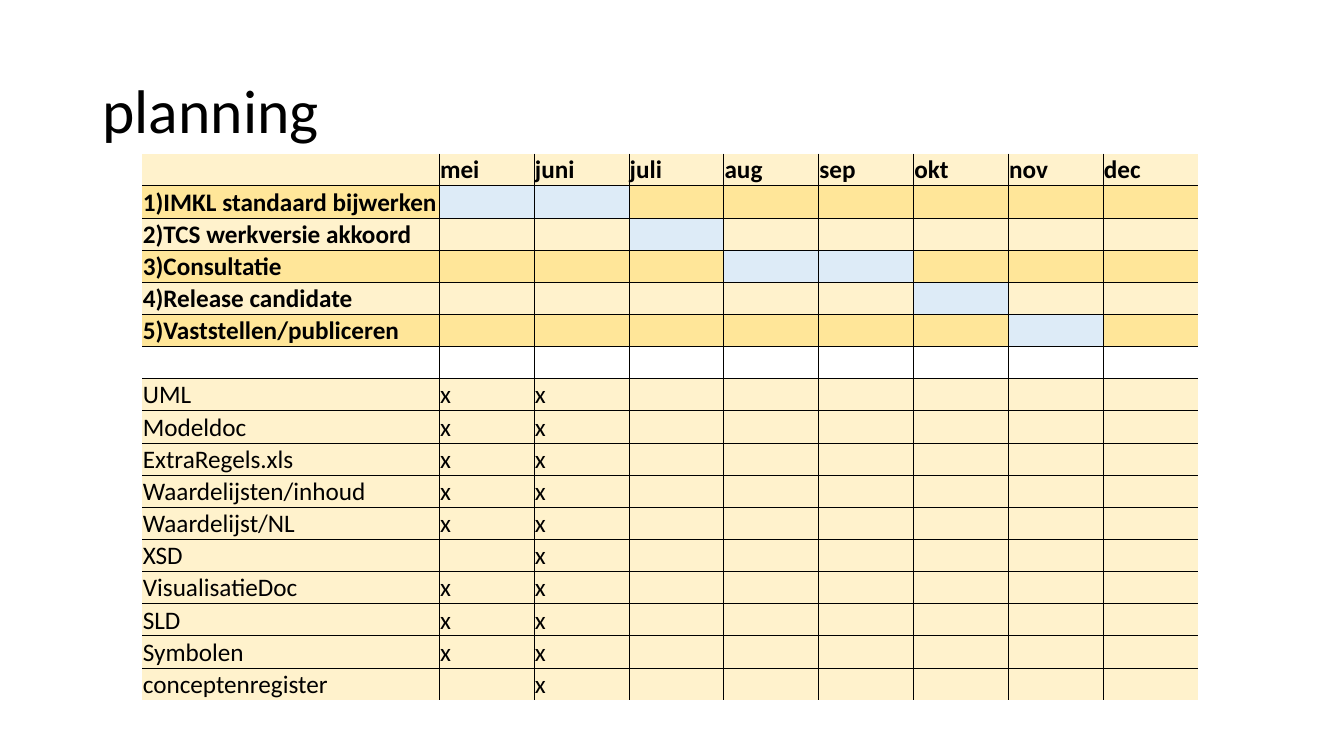
from dataclasses import dataclass

from pptx import Presentation
from pptx import util as u
from pptx.dml.color import RGBColor
from pptx.enum import text
from pptx.oxml import ns
from pptx.oxml.xmlchemy import OxmlElement
from pptx.slide import Slide
from pptx.table import Table, _Cell
from pptx.text.text import Font

FONT = "Calibri"
BLACK, CREAM, GOLD, BLUE = "000000", "FFF2CC", "FFE699", "DDEBF7"
MONTHS = ["mei", "juni", "juli", "aug", "sep", "okt ", "nov", "dec"]
LABEL_WIDTH, MONTH_WIDTH, ROW_HEIGHT = u.Cm(7.49), u.Cm(2.39), u.Cm(0.81)


@dataclass(frozen=True)
class PlanRow:
    label: str = ""
    fill: str | None = CREAM
    bold: bool = False
    planned: tuple[str, ...] = ()  # months coloured blue
    marked: tuple[str, ...] = ()  # months with an x

    def texts(self) -> list[str]:
        return [self.label] + ["x" if month in self.marked else "" for month in MONTHS]

    def fills(self) -> list[str | None]:
        return [self.fill] + [BLUE if month in self.planned else self.fill for month in MONTHS]


SPRING = ("mei", "juni")
PHASES = [
    PlanRow("1)IMKL standaard bijwerken", GOLD, True, planned=SPRING),
    PlanRow("2)TCS werkversie akkoord", CREAM, True, planned=("juli",)),
    PlanRow("3)Consultatie", GOLD, True, planned=("aug", "sep")),
    PlanRow("4)Release candidate", CREAM, True, planned=("okt ",)),
    PlanRow("5)Vaststellen/publiceren", GOLD, True, planned=("nov",)),
]
PRODUCTS = [
    PlanRow("UML", marked=SPRING),
    PlanRow("Modeldoc", marked=SPRING),
    PlanRow("ExtraRegels.xls", marked=SPRING),
    PlanRow("Waardelijsten/inhoud", marked=SPRING),
    PlanRow("Waardelijst/NL", marked=SPRING),
    PlanRow("XSD", marked=("juni",)),
    PlanRow("VisualisatieDoc", marked=SPRING),
    PlanRow("SLD", marked=SPRING),
    PlanRow("Symbolen", marked=SPRING),
    PlanRow("conceptenregister", marked=("juni",)),
]
ROWS = PHASES + [PlanRow(fill=None)] + PRODUCTS


def colour(value: str) -> RGBColor:
    return RGBColor.from_string(value)


def format_font(font: Font, size: float, bold: bool = False) -> None:
    font.name, font.size, font.bold = FONT, u.Pt(size), bold
    font.color.rgb = colour(BLACK)


def add_border(cell: _Cell, side: str, visible: bool) -> None:
    line = OxmlElement(f"a:ln{side}")
    line.set("w", str(u.Pt(0.5)))
    fill = OxmlElement("a:solidFill" if visible else "a:noFill")
    if visible:
        tint = OxmlElement("a:srgbClr")
        tint.set("val", BLACK)
        fill.append(tint)
    line.append(fill)
    cell._tc.get_or_add_tcPr().append(line)


def format_cell(cell: _Cell, content: str, fill: str | None, bold: bool) -> None:
    cell.margin_left = cell.margin_right = cell.margin_top = u.Cm(0.02)
    cell.margin_bottom = 0
    cell.vertical_anchor = text.MSO_ANCHOR.BOTTOM
    if fill:
        cell.fill.solid()
        cell.fill.fore_color.rgb = colour(fill)
    else:
        cell.fill.background()
    cell.text_frame.text = content
    paragraph = cell.text_frame.paragraphs[0]
    for run in paragraph.runs:
        format_font(run.font, 18, bold)
    if not content:  # an empty cell must not grow beyond its row
        end = OxmlElement("a:endParaRPr")
        end.set("sz", "1800")
        latin = OxmlElement("a:latin")
        latin.set("typeface", FONT)
        end.append(latin)
        paragraph._p.append(end)


def fill_row(table: Table, index: int, texts: list[str], fills: list[str | None], bold: bool) -> None:
    table.rows[index].height = ROW_HEIGHT
    last_row, last_column = len(table.rows) - 1, len(table.columns) - 1
    for column, (content, fill) in enumerate(zip(texts, fills)):
        cell = table.cell(index, column)
        # Only the inner grid lines show
        add_border(cell, "L", column > 0)
        add_border(cell, "R", column < last_column)
        add_border(cell, "T", index > 0)
        add_border(cell, "B", index < last_row)
        format_cell(cell, content, fill, bold)


def add_title(slide: Slide, content: str) -> None:
    title = slide.shapes.title
    title.left, title.top, title.width, title.height = u.Cm(2.33), u.Cm(1.01), u.Cm(29.21), u.Cm(3.68)
    frame = title.text_frame
    frame.text = content
    frame.vertical_anchor = text.MSO_ANCHOR.MIDDLE
    frame.auto_size = text.MSO_AUTO_SIZE.NONE
    paragraph = frame.paragraphs[0]
    paragraph.alignment = text.PP_ALIGN.LEFT
    paragraph.line_spacing = 0.9
    format_font(paragraph.runs[0].font, 44)


def add_planning(slide: Slide) -> None:
    row_count, column_count = len(ROWS) + 1, len(MONTHS) + 1
    frame = slide.shapes.add_table(
        row_count, column_count, u.Cm(3.58), u.Cm(3.87),
        LABEL_WIDTH + len(MONTHS) * MONTH_WIDTH, row_count * ROW_HEIGHT)
    table = frame.table
    table.first_row = table.horz_banding = False
    for index, column in enumerate(table.columns):
        column.width = MONTH_WIDTH if index else LABEL_WIDTH
    fill_row(table, 0, [""] + MONTHS, [CREAM] * column_count, True)
    for index, row in enumerate(ROWS, start=1):
        fill_row(table, index, row.texts(), row.fills(), row.bold)


# Slide with title and planning table
presentation = Presentation()
presentation.slide_width, presentation.slide_height = u.Cm(33.87), u.Cm(19.05)
slide = presentation.slides.add_slide(presentation.slide_layouts.get_by_name("Title Only"))
add_title(slide, "planning")
add_planning(slide)
presentation.save("out.pptx")
